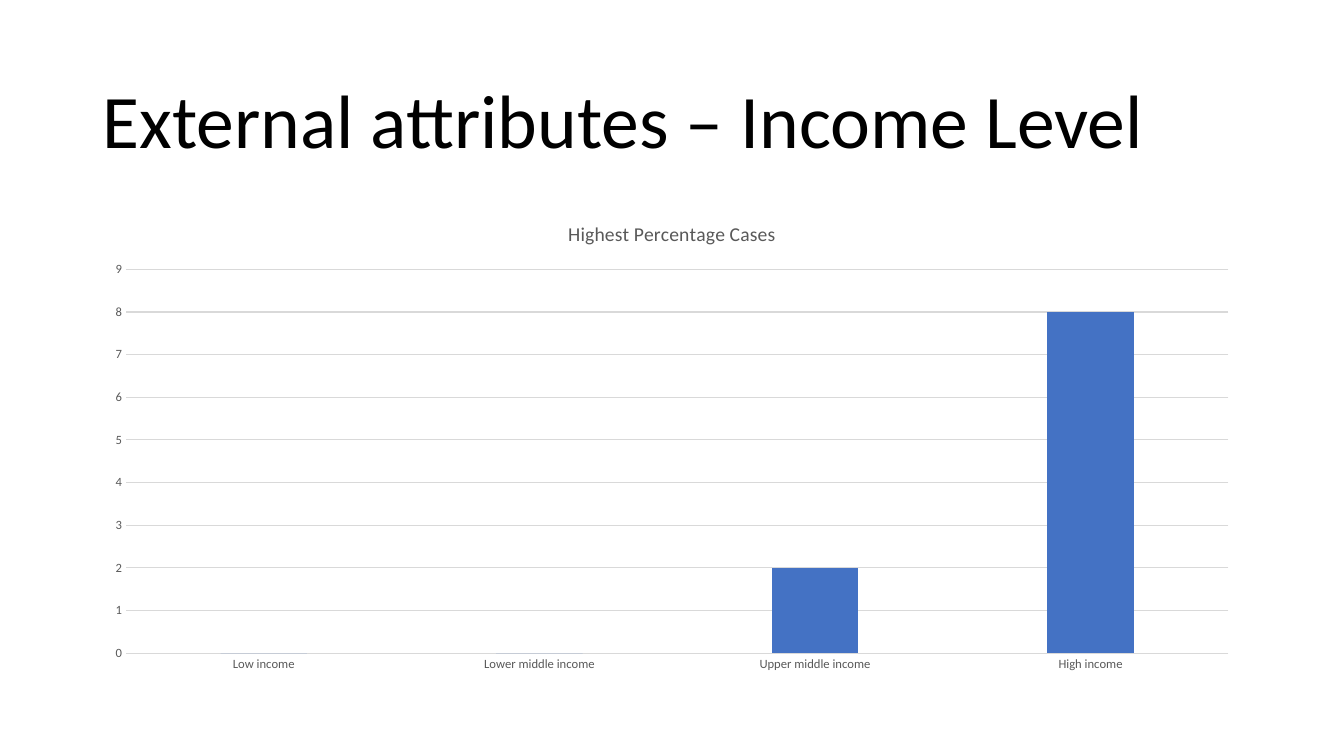
from pptx import Presentation
from pptx import util as u
from pptx.chart.data import CategoryChartData
from pptx.dml.color import RGBColor
from pptx.enum import chart as c, text as t

PX = 9525  # EMU per px, 96 px to the inch
FONT = "Calibri"
COLORS = {"title": "000000", "label": "595959", "grid": "D9D9D9", "bar": "4472C4"}


def px(*lengths):
    return [u.Emu(length * PX) for length in lengths]


def color(name):
    return RGBColor.from_string(COLORS[name])


def style_font(font, size, color_name):
    font.name = FONT
    font.size = u.Pt(size)
    font.bold = False
    font.color.rgb = color(color_name)


def style_line(line):
    line.color.rgb = color("grid")
    line.width = u.Pt(0.75)


def add_title(slide, box, wording):
    frame = slide.shapes.add_textbox(*px(*box)).text_frame
    frame.word_wrap = True
    frame.vertical_anchor = t.MSO_ANCHOR.MIDDLE
    paragraph = frame.paragraphs[0]
    paragraph.line_spacing = 0.9
    run = paragraph.add_run()
    run.text = wording
    style_font(run.font, 54, "title")


def style_axis(axis):
    axis.major_tick_mark = axis.minor_tick_mark = c.XL_TICK_MARK.NONE
    style_font(axis.tick_labels.font, 9, "label")


def add_column_chart(slide, box, name, cases):
    data = CategoryChartData()
    data.categories = list(cases)
    data.add_series(name, list(cases.values()))
    chart = slide.shapes.add_chart(
        c.XL_CHART_TYPE.COLUMN_CLUSTERED, *px(*box), data).chart
    style_font(chart.font, 10, "title")
    chart.has_legend = False

    # Chart title
    chart.has_title = True
    chart.chart_title.include_in_layout = False
    run = chart.chart_title.text_frame.paragraphs[0].add_run()
    run.text = name
    style_font(run.font, 14, "label")

    # Axes and gridlines
    style_axis(chart.category_axis)
    style_line(chart.category_axis.format.line)
    value_axis = chart.value_axis
    style_axis(value_axis)
    value_axis.format.line.fill.background()
    value_axis.minimum_scale, value_axis.maximum_scale = 0, 9
    value_axis.major_unit = 1
    style_line(value_axis.major_gridlines.format.line)

    # Columns
    plot = chart.plots[0]
    plot.vary_by_categories = False
    plot.gap_width, plot.overlap = 219, -27
    fill = plot.series[0].format.fill
    fill.solid()
    fill.fore_color.rgb = color("bar")


def main():
    presentation = Presentation()
    presentation.slide_width, presentation.slide_height = px(1280, 720)
    slide = presentation.slides.add_slide(presentation.slide_layouts[6])
    add_title(slide, (88, 59, 1104, 119), "External attributes – Income Level")
    add_column_chart(slide, (88, 192, 1104, 457), "Highest Percentage Cases", {
        "Low income": 0,
        "Lower middle income": 0,
        "Upper middle income": 2,
        "High income": 8,
    })
    presentation.save("out.pptx")


if __name__ == "__main__":
    main()
